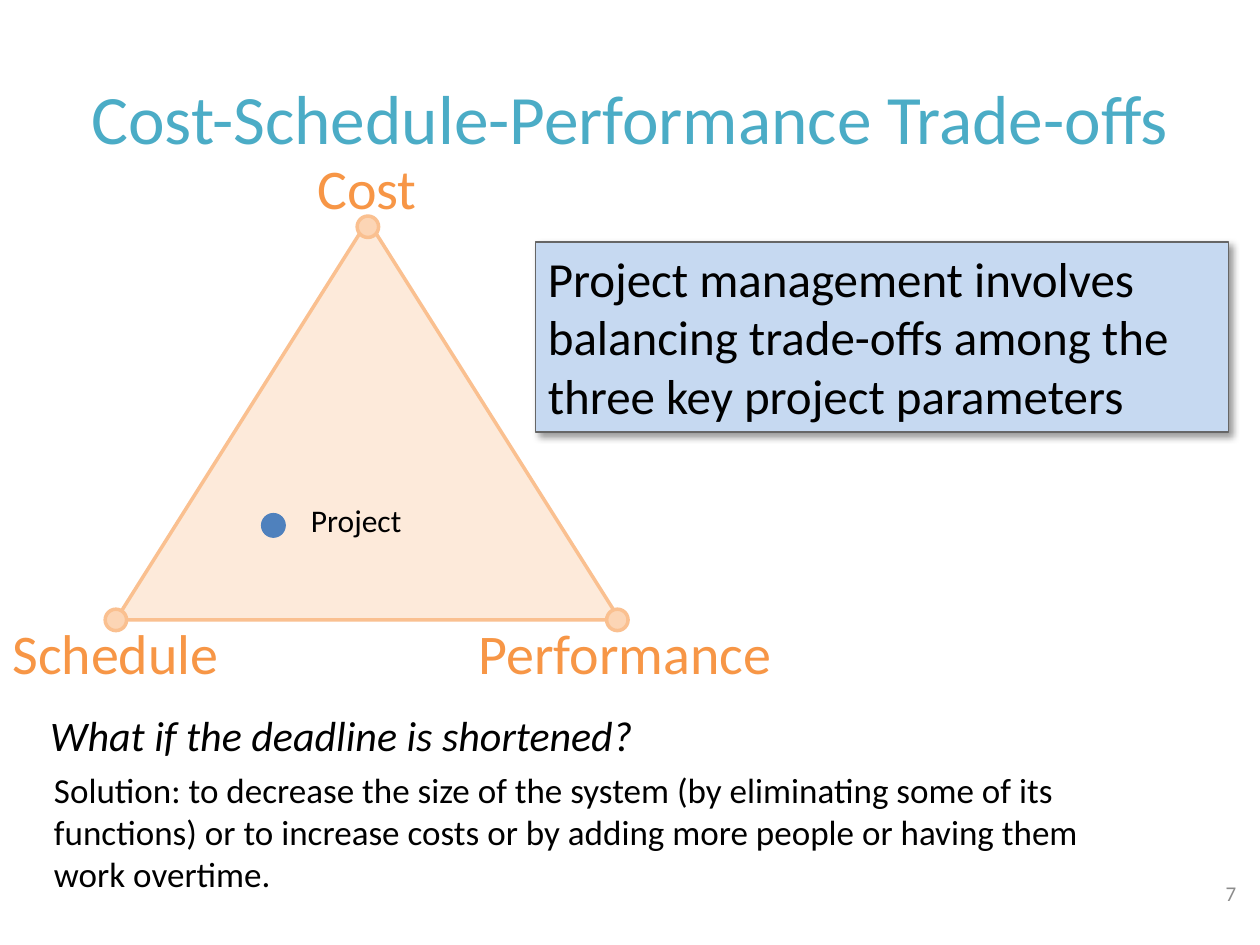
from lxml import etree
from pptx import Presentation
from pptx.dml.color import RGBColor
from pptx.enum.shapes import MSO_SHAPE
from pptx.enum.text import MSO_ANCHOR, MSO_AUTO_SIZE, PP_ALIGN
from pptx.oxml.ns import qn
from pptx.util import Inches, Pt

LEFT, CENTER, RIGHT = PP_ALIGN.LEFT, PP_ALIGN.CENTER, PP_ALIGN.RIGHT
TOP, MIDDLE = MSO_ANCHOR.TOP, MSO_ANCHOR.MIDDLE
GROW, FIXED = MSO_AUTO_SIZE.SHAPE_TO_FIT_TEXT, MSO_AUTO_SIZE.NONE
OVAL, RECT, TRI = MSO_SHAPE.OVAL, MSO_SHAPE.RECTANGLE, MSO_SHAPE.ISOSCELES_TRIANGLE

FONT = "Calibri"
COLORS = {
    "title": "4BACC6", "label": "F79646", "text": "000000", "number": "8C8C8C",
    "area": "FDEADA", "edge": "FAC090", "corner": "FCD5B5", "dot": "4F81BD",
    "note": "C6D9F1", "frame": "666666", "shadow": "000000",
}
DOT = 0.17


def rgb(name):
    return RGBColor.from_string(COLORS[name])


def write(shape, text, size, color="text", italic=False, align=LEFT,
          anchor=TOP, wrap=True, fit=GROW):
    frame = shape.text_frame
    frame.word_wrap = wrap
    frame.auto_size = fit
    frame.vertical_anchor = anchor
    para = frame.paragraphs[0]
    para.alignment = align
    run = para.add_run()
    run.text = text
    font = run.font
    font.name, font.size, font.italic = FONT, Pt(size), italic
    font.color.rgb = rgb(color)


def add_text(slide, box, text, size, **style):
    shape = slide.shapes.add_textbox(*map(Inches, box))
    write(shape, text, size, **style)


def add_shape(slide, kind, box, fill, line, width=2):
    shape = slide.shapes.add_shape(kind, *map(Inches, box))
    shape.fill.solid()
    shape.fill.fore_color.rgb = rgb(fill)
    shape.line.color.rgb = rgb(line)
    shape.line.width = Pt(width)
    shape.shadow.inherit = False
    return shape


def add_dot(slide, x, y, fill, line):
    """Place a small circle centred on x, y."""
    add_shape(slide, OVAL, (x - DOT / 2, y - DOT / 2, DOT, DOT), fill, line)


def add_shadow(shape):
    effects = shape._element.spPr.find(qn("a:effectLst"))
    outer = etree.SubElement(effects, qn("a:outerShdw"), blurRad=str(Pt(4)),
                             dist=str(Pt(3)), dir=str(45 * 60000), rotWithShape="0")
    color = etree.SubElement(outer, qn("a:srgbClr"), val=COLORS["shadow"])
    etree.SubElement(color, qn("a:alpha"), val="40000")


def add_title(slide, box):
    title = slide.shapes.title
    title.left, title.top, title.width, title.height = map(Inches, box)
    write(title, "Cost-Schedule-Performance Trade-offs", 39.6, color="title",
          align=CENTER, anchor=MIDDLE, fit=FIXED)


def add_triangle(slide, box):
    """Draw the trade-off triangle with its named corners and the project dot."""
    x, y, w, h = box
    add_shape(slide, TRI, box, "area", "edge")
    corners = [
        ("Cost", w / 2, 0.05, (1.5, -0.58, 1, 0.64)),
        ("Schedule", 0, h, (-0.92, 3.11, 1.86, 0.64)),
        ("Performance", w - 0.02, h, (2.78, 3.11, 2.55, 0.64)),
    ]
    for name, dx, dy, (left, top, wide, high) in corners:
        add_text(slide, (x + left, y + top, wide, high), name, 32,
                 color="label", wrap=False)
        add_dot(slide, x + dx, y + dy, "corner", "edge")
    add_dot(slide, x + 1.25, y + 2.42, "dot", "dot")
    add_text(slide, (x + 1.45, y + 2.18, 0.93, 0.4), "Project", 18, wrap=False)


def add_note(slide, box):
    note = add_shape(slide, RECT, box, "note", "frame", 0.75)
    add_shadow(note)
    write(note, "Project management involves balancing trade-offs among the "
          "three key project parameters", 28)


def add_answer(slide, box):
    """Put the question above its solution."""
    x, y, w, h = box
    add_text(slide, (x, y, w, 0.5), "What if the deadline is shortened?", 24,
             italic=True)
    add_text(slide, (x + 0.03, y + 0.47, w - 0.5, h - 0.47),
             "Solution: to decrease the size of the system (by eliminating some "
             "of its functions) or to increase costs or by adding more people "
             "or having them work overtime.", 20)


def main():
    deck = Presentation()
    deck.slide_width, deck.slide_height = Inches(10), Inches(7.5)
    slide = deck.slides.add_slide(deck.slide_layouts[5])
    add_title(slide, (0.5, 0.3, 9, 1.25))
    add_triangle(slide, (0.92, 1.75, 4, 3.17))
    add_note(slide, (4.25, 1.92, 5.5, 1.51))
    add_text(slide, (9.33, 6.92, 0.58, 0.33), "7", 12, color="number",
             align=RIGHT, anchor=MIDDLE, fit=FIXED)
    add_answer(slide, (0.3, 5.58, 9.42, 1.58))
    deck.save("out.pptx")


if __name__ == "__main__":
    main()
